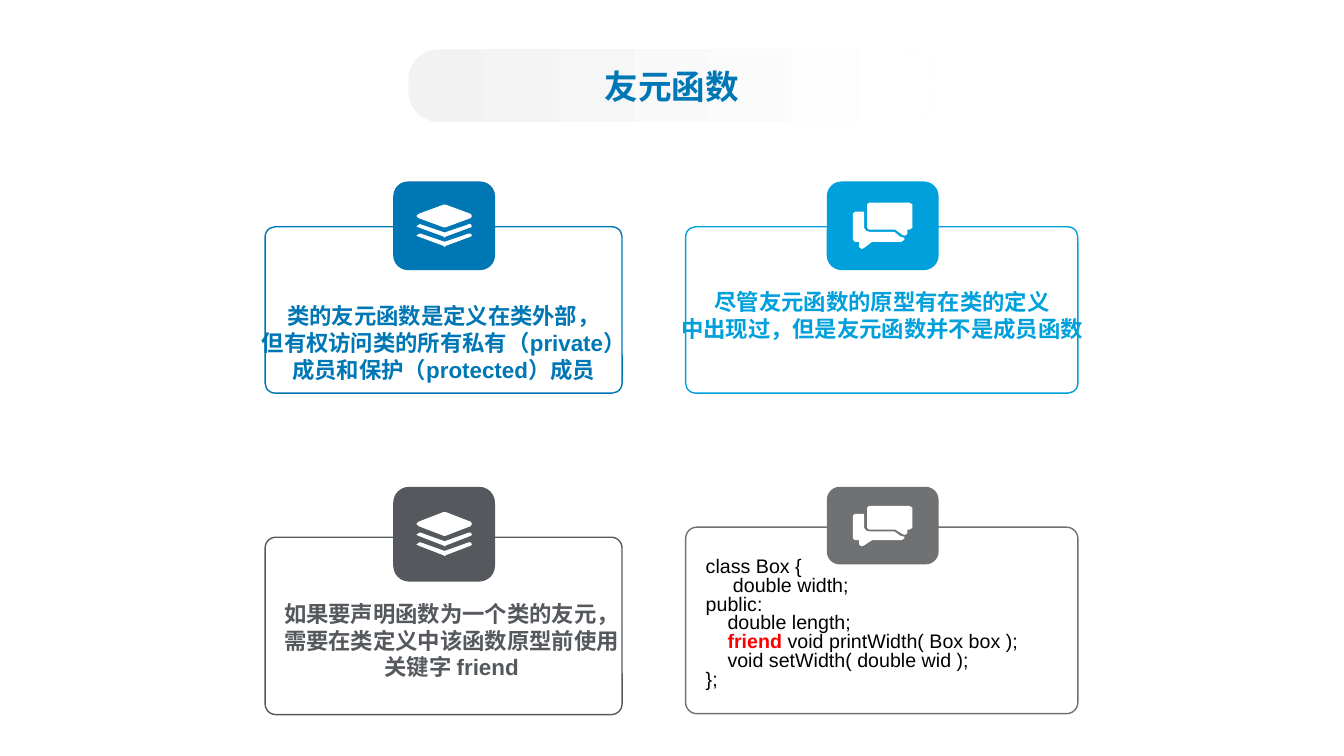
from dataclasses import dataclass
from typing import Any

from lxml.etree import SubElement
from pptx import Presentation
from pptx.dml.color import RGBColor
from pptx.enum.shapes import MSO_SHAPE as Shape
from pptx.enum.text import MSO_ANCHOR as Anchor, PP_ALIGN as Align
from pptx.oxml.ns import qn
from pptx.util import Pt

PX = 9144  # 100 px to the inch
NAVY = RGBColor(0x00, 0x77, 0xB5)
SKY = RGBColor(0x00, 0xA0, 0xDC)
SLATE = RGBColor(0x55, 0x59, 0x5D)
GRAY = RGBColor(0x6F, 0x71, 0x73)
PALE = RGBColor(0xF2, 0xF2, 0xF2)
WHITE = RGBColor(0xFF, 0xFF, 0xFF)
BLACK = RGBColor(0x00, 0x00, 0x00)
RED = RGBColor(0xFF, 0x00, 0x00)
LATIN, CHINESE = "Arial", "Noto Sans CJK SC"

CHEVRON = [(3, 19), (4, 19), (28, 27), (52, 19), (54, 19), (55, 21), (54, 22),
           (29, 31), (28, 32), (27, 31), (2, 22), (0, 21)]
LAYERS = [
    [(0, 11), (2, 9), (27, 0), (29, 0), (54, 9), (55, 11), (54, 13),
     (29, 22), (27, 22), (2, 13)],
    CHEVRON,
    [(x, y + 9) for x, y in CHEVRON],
]
BUBBLES = [
    [(56, 27), (54, 27), (54, 31), (53, 32), (51, 33), (49, 32), (42, 27),
     (16, 27), (14, 25), (14, 2), (16, 0), (56, 0), (59, 2), (59, 25)],
    [(41, 29), (47, 34), (51, 35), (51, 37), (48, 39), (19, 39), (11, 45),
     (9, 46), (7, 45), (6, 44), (6, 39), (2, 39), (0, 37), (0, 11), (2, 9),
     (11, 9), (11, 25), (13, 28), (16, 29)],
]


@dataclass
class Card:
    color: RGBColor
    frame: tuple
    badge: tuple
    icon: list
    icon_height: int
    text_box: tuple
    lines: list
    is_code: bool = False


CARDS = [
    Card(NAVY, (263, 225, 354, 165), (390, 180, 101, 88), LAYERS, 42,
         (245, 300, 390, 80),
         ["类的友元函数是定义在类外部，",
          "但有权访问类的所有私有（private）",
          "成员和保护（protected）成员"]),
    Card(SKY, (680, 225, 389, 165), (820, 180, 111, 88), BUBBLES, 46,
         (665, 286, 420, 88),
         ["尽管友元函数的原型有在类的定义",
          "中出现过，但是友元函数并不是成员函数"]),
    Card(SLATE, (263, 533, 354, 176), (390, 483, 101, 94), LAYERS, 44,
         (270, 595, 356, 102),
         ["如果要声明函数为一个类的友元，",
          "需要在类定义中该函数原型前使用",
          "关键字 friend"]),
    Card(GRAY, (680, 523, 389, 185), (820, 483, 111, 77), BUBBLES, 40,
         (700, 554, 354, 134),
         ["class Box {",
          "     double width;",
          "public:",
          "    double length;",
          "    friend void printWidth( Box box );",
          "    void setWidth( double wid );",
          "};"], is_code=True),
]


def scaled(box):
    return [length * PX for length in box]


def apply(target, formats):
    for name, value in formats.items():
        setattr(target, name, value)


@dataclass
class SlideBuilder:
    page: Any
    latin: str = LATIN
    chinese: str = CHINESE

    def rounded(self, box, fill=None, line=None, corner=None):
        shape = self.page.shapes.add_shape(Shape.ROUNDED_RECTANGLE, *scaled(box))
        shape.shadow.inherit = False
        if corner is not None:
            shape.adjustments[0] = corner
        if fill is None:
            shape.fill.background()
        else:
            shape.fill.solid()
            shape.fill.fore_color.rgb = fill
        if line is None:
            shape.line.fill.background()
        else:
            shape.line.color.rgb = line
            shape.line.width = Pt(1)
        return shape

    def icon(self, outlines, badge, height):
        """Draw the outlines, stretched to the height, centred in the badge."""
        points = [point for outline in outlines for point in outline]
        icon_width = max(x for x, _ in points)
        full_height = max(y for _, y in points)
        left, top, badge_width, badge_height = badge
        builder = self.page.shapes.build_freeform(
            *outlines[0][0], scale=(PX, PX * height / full_height))
        for index, outline in enumerate(outlines):
            if index:
                builder.move_to(*outline[0])
            builder.add_line_segments(outline[1:], close=True)
        shape = builder.convert_to_shape(
            (left + (badge_width - icon_width) // 2) * PX,
            (top + (badge_height - height + 1) // 2) * PX)
        shape.shadow.inherit = False
        shape.fill.solid()
        shape.fill.fore_color.rgb = WHITE
        shape.line.fill.background()

    def span(self, para, text, color, size, bold, latin=None):
        span = para.add_run()
        span.text = text
        apply(span.font, {"name": latin or self.latin, "size": Pt(size), "bold": bold})
        span.font.color.rgb = color
        SubElement(span.font._element, qn("a:ea"), typeface=self.chinese)

    def text_box(self, box):
        frame = self.page.shapes.add_textbox(*scaled(box)).text_frame
        apply(frame, {"word_wrap": False, "margin_left": 0, "margin_top": 0,
                      "margin_right": 0, "margin_bottom": 0})
        return frame

    def paragraphs(self, frame, lines):
        """Yield each line with its own paragraph."""
        for index, line in enumerate(lines):
            yield frame.add_paragraph() if index else frame.paragraphs[0], line

    def statement(self, box, lines, color):
        for para, line in self.paragraphs(self.text_box(box), lines):
            para.alignment = Align.CENTER
            self.span(para, line, color, 16, True)

    def code(self, box, lines, keyword="friend"):
        for para, line in self.paragraphs(self.text_box(box), lines):
            para.line_spacing = 0.8
            before, found, after = line.partition(keyword)
            for text, color, bold in ((before, BLACK, False), (found, RED, True),
                                      (after, BLACK, False)):
                if text:
                    self.span(para, text, color, 14, bold)

    def card(self, card):
        self.rounded(card.frame, line=card.color, corner=0.06)
        self.rounded(card.badge, fill=card.color)
        self.icon(card.icon, card.badge, card.icon_height)
        if card.is_code:
            self.code(card.text_box, card.lines)
        else:
            self.statement(card.text_box, card.lines, card.color)

    def title(self, box, text):
        """Put the title placeholder on a pill that fades to white."""
        pill = self.rounded(box, fill=PALE, corner=0.42)
        pill.fill.gradient()
        pill.fill.gradient_angle = 0
        for stop, color in zip(pill.fill.gradient_stops, (PALE, WHITE)):
            stop.color.rgb = color
        title = self.page.shapes.title
        apply(title, dict(zip(("left", "top", "width", "height"), scaled(box))))
        title.text_frame.vertical_anchor = Anchor.MIDDLE
        para = title.text_frame.paragraphs[0]
        para.alignment = Align.CENTER
        self.span(para, text, NAVY, 24, True, latin=self.chinese)
        pill._element.addnext(title._element)


def main():
    deck = Presentation()
    apply(deck, {"slide_width": 1333 * PX, "slide_height": 750 * PX})
    builder = SlideBuilder(deck.slides.add_slide(deck.slide_layouts[5]))
    for card in CARDS:
        builder.card(card)
    builder.title((405, 49, 523, 72), "友元函数")
    deck.save("out.pptx")


if __name__ == "__main__":
    main()
